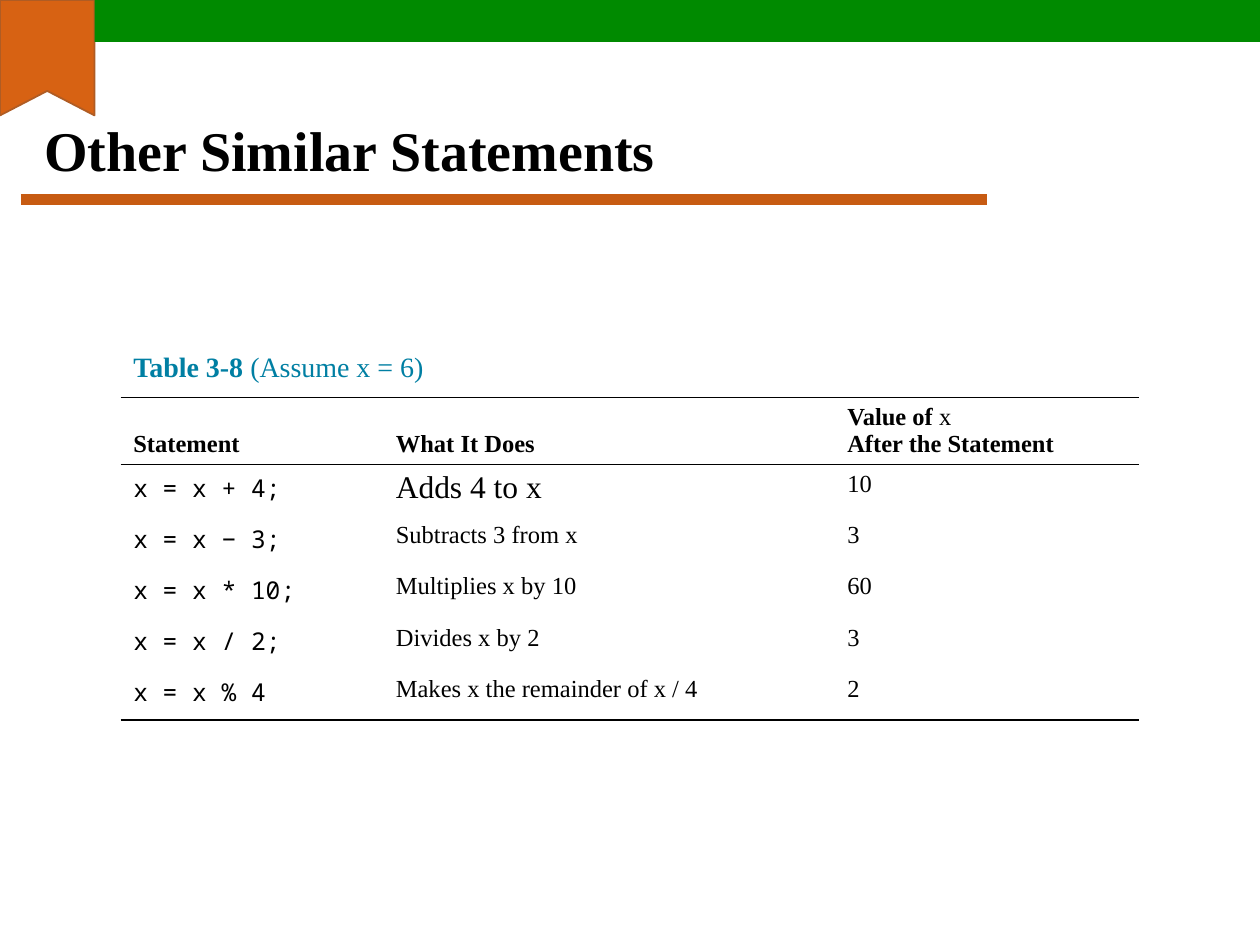
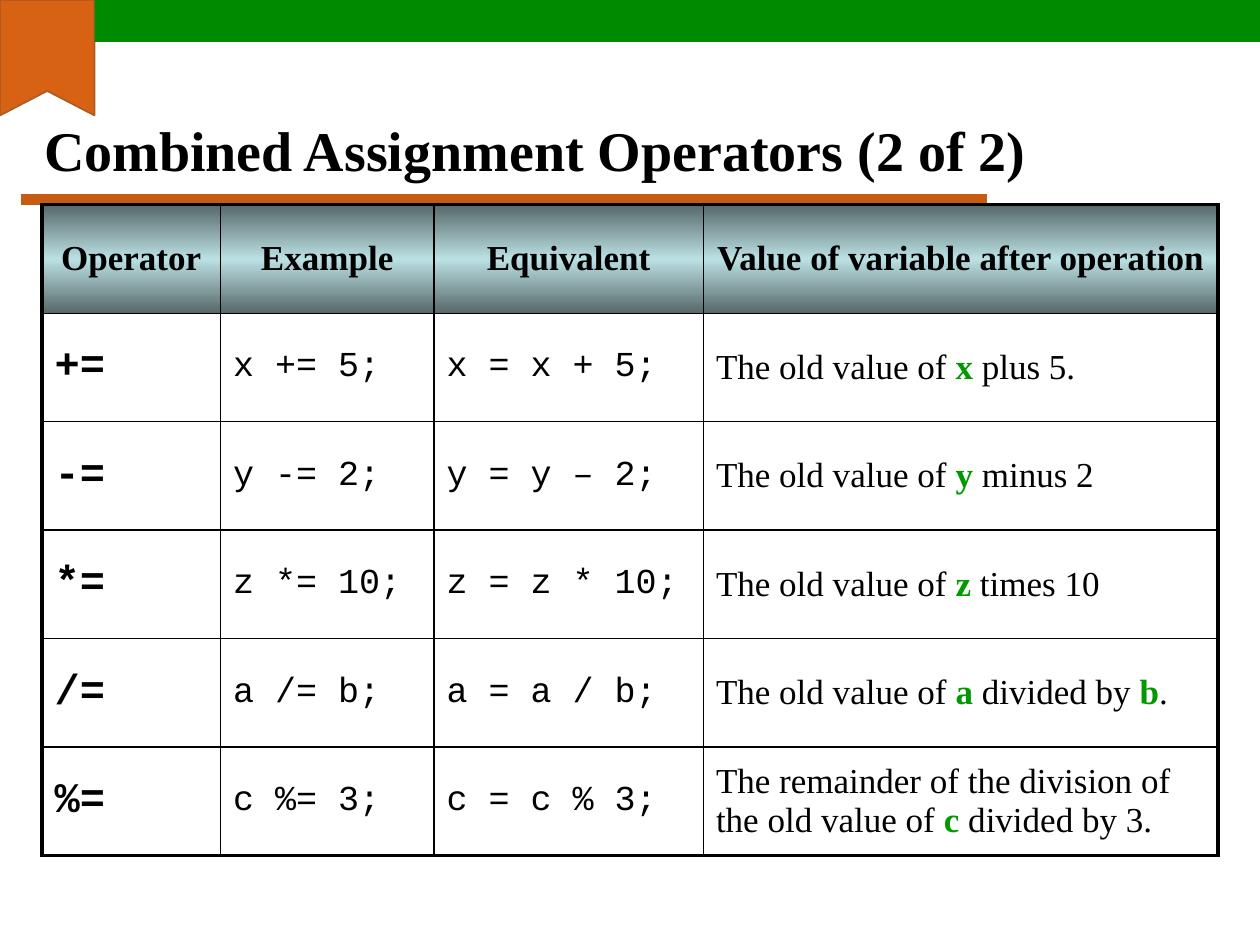
from copy import deepcopy

from pptx import Presentation
from pptx.dml.color import RGBColor
from pptx.enum.shapes import MSO_CONNECTOR, MSO_SHAPE
from pptx.enum.text import MSO_ANCHOR, MSO_AUTO_SIZE, PP_ALIGN
from pptx.oxml.ns import qn
from pptx.util import Pt
from lxml.etree import SubElement, Element

COLORS = {
    "text": "000000",
    "band": "008A00",
    "ribbon": "D76213",
    "ribbon_edge": "AF5C24",
    "rule": "C75B12",
    "caption": "007FA3",
    "variable": "009900",
    "header_dark": "576869",
    "header_light": "BBE0E3",
}
SERIF = "Times New Roman"
COURIER = "Courier New"
MONO = "Noto Sans Mono"
WIDTH, HEIGHT = 720, 540
RIBBON_WIDTH, RIBBON_HEIGHT, RIBBON_NOTCH = 54, 66, 52
BAND_HEIGHT = 24
TITLE_BOX = (18, 42, 648, 86)
RULE_START, RULE_END, RULE_Y = 12, 564, 114


def color(name):
    return RGBColor.from_string(COLORS[name])


def set_font(font, name, size, bold, color_name):
    font.name = name
    font.size = Pt(size)
    font.bold = bold
    font.color.rgb = color(color_name)


def add_band(slide):
    band = slide.shapes.add_shape(
        MSO_SHAPE.RECTANGLE, Pt(RIBBON_WIDTH), 0,
        Pt(WIDTH - RIBBON_WIDTH), Pt(BAND_HEIGHT))
    band.shadow.inherit = False
    band.fill.solid()
    band.fill.fore_color.rgb = color("band")
    band.line.fill.background()


def add_ribbon(slide):
    builder = slide.shapes.build_freeform(0, 0, scale=Pt(1))
    builder.add_line_segments([
        (RIBBON_WIDTH, 0), (RIBBON_WIDTH, RIBBON_HEIGHT),
        (RIBBON_WIDTH / 2, RIBBON_NOTCH), (0, RIBBON_HEIGHT)], close=True)
    ribbon = builder.convert_to_shape()
    ribbon.shadow.inherit = False
    ribbon.fill.solid()
    ribbon.fill.fore_color.rgb = color("ribbon")
    ribbon.line.color.rgb = color("ribbon_edge")
    ribbon.line.width = Pt(1)


def add_title_rule(slide):
    rule = slide.shapes.add_connector(
        MSO_CONNECTOR.STRAIGHT, Pt(RULE_START), Pt(RULE_Y), Pt(RULE_END), Pt(RULE_Y))
    rule.line.color.rgb = color("rule")
    rule.line.width = Pt(6)
    SubElement(rule._element.spPr, qn("a:effectLst"))


def place_title(slide, text):
    title = slide.shapes.title
    title.left, title.top, title.width, title.height = map(Pt, TITLE_BOX)
    frame = title.text_frame
    frame.text = text
    frame.auto_size = MSO_AUTO_SIZE.NONE
    frame.vertical_anchor = MSO_ANCHOR.MIDDLE
    paragraph = frame.paragraphs[0]
    paragraph.alignment = PP_ALIGN.LEFT
    set_font(paragraph.font, SERIF, 32, True, "text")


def add_slide(presentation, title):
    slide = presentation.slides.add_slide(presentation.slide_layouts[5])
    add_title_rule(slide)
    add_ribbon(slide)
    add_band(slide)
    place_title(slide, title)
    return slide


def add_plain_table(slide, left, top, columns, rows):
    table = slide.shapes.add_table(
        len(rows), len(columns), Pt(left), Pt(top), Pt(sum(columns)), Pt(sum(rows))).table
    table.first_row = False
    table.horz_banding = False
    for column, width in zip(table.columns, columns):
        column.width = Pt(width)
    for row, height in zip(table.rows, rows):
        row.height = Pt(height)
    for cell in table.iter_cells():
        cell.fill.background()
    return table


def set_borders(cell, left=0, right=0, top=0, bottom=0):
    properties = cell._tc.get_or_add_tcPr()
    sides = (("L", left), ("R", right), ("T", top), ("B", bottom))
    for index, (side, width) in enumerate(sides):
        line = Element(qn(f"a:ln{side}"), w=str(Pt(width)))
        if width:
            fill = SubElement(line, qn("a:solidFill"))
            SubElement(fill, qn("a:srgbClr"), val=COLORS["text"])
        else:
            SubElement(line, qn("a:noFill"))
        properties.insert(index, line)


def write_cell(cell, text, font=SERIF, size=14, bold=False, color_name="text",
               accent=None, anchor=MSO_ANCHOR.TOP, alignment=PP_ALIGN.LEFT):
    """Text between bars has the opposite weight and the accent colour."""
    cell.vertical_anchor = anchor
    frame = cell.text_frame
    for number, line in enumerate(text.split("\n")):
        paragraph = frame.add_paragraph() if number else frame.paragraphs[0]
        paragraph.alignment = alignment
        set_font(paragraph.font, font, size, bold, color_name)
        for index, part in enumerate(line.split("|")):
            if not part:
                continue
            run = paragraph.add_run()
            run.text = part
            if index % 2:
                run.font.bold = not bold
                if accent:
                    run.font.color.rgb = color(accent)


def fill_header(cell):
    fill = cell.fill
    fill.gradient()
    fill.gradient_angle = 270
    stop_list = cell._tc.tcPr.find(".//" + qn("a:gsLst"))
    stop_list.insert(1, deepcopy(stop_list[0]))
    names = ("header_dark", "header_light", "header_dark")
    for stop, position, name in zip(fill.gradient_stops, (0, 0.5, 1), names):
        stop.position = position
        stop.color.rgb = color(name)


def add_statement_table(slide, left, top):
    headers = ("Statement", "What It Does", "Value of |x|\nAfter the Statement")
    statements = (
        ("x = x + 4;", "Adds 4 to x", "10"),
        ("x = x − 3;", "Subtracts 3 from x", "3"),
        ("x = x * 10;", "Multiplies x by 10", "60"),
        ("x = x / 2;", "Divides x by 2", "3"),
        ("x = x % 4", "Makes x the remainder of x / 4", "2"),
    )
    last = len(statements) + 1
    table = add_plain_table(slide, left, top, (150, 258, 174), [29.25] * (last + 1))
    table.cell(0, 0).merge(table.cell(0, 2))
    write_cell(table.cell(0, 0), "Table 3-8 |(Assume x = 6)|", size=16, bold=True,
               color_name="caption")
    for column, header in enumerate(headers):
        write_cell(table.cell(1, column), header, bold=True, anchor=MSO_ANCHOR.BOTTOM)
    for row, (statement, effect, value) in enumerate(statements, 2):
        write_cell(table.cell(row, 0), statement, MONO)
        write_cell(table.cell(row, 1), effect, size=18 if row == 2 else 14)
        write_cell(table.cell(row, 2), value)
    for row in range(last + 1):
        for column in range(3):
            set_borders(table.cell(row, column), top=int(row in (1, 2)),
                        bottom=int(row in (0, 1, last)))


def add_operator_table(slide, left, top):
    headers = ("Operator", "Example", "Equivalent", "Value of variable after operation")
    operators = (
        ("+=", "x += 5;", "x = x + 5;", "The old value of |x| plus 5."),
        ("-=", "y -= 2;", "y = y – 2;", "The old value of |y| minus 2"),
        ("*=", "z *= 10;", "z = z * 10;", "The old value of |z| times 10"),
        ("/=", "a /= b;", "a = a / b;", "The old value of |a| divided by |b|."),
        ("%=", "c %= 3;", "c = c % 3;",
         "The remainder of the division of the old value of |c| divided by 3."),
    )
    last_row, last_column = len(operators), len(headers) - 1
    table = add_plain_table(slide, left, top, (102, 122, 154, 294), [62] * (last_row + 1))
    middle = MSO_ANCHOR.MIDDLE
    for column, header in enumerate(headers):
        cell = table.cell(0, column)
        fill_header(cell)
        write_cell(cell, header, size=20, bold=True, anchor=middle,
                   alignment=PP_ALIGN.CENTER)
    for row, (operator, example, equivalent, value) in enumerate(operators, 1):
        write_cell(table.cell(row, 0), operator, COURIER, 24, True, anchor=middle)
        write_cell(table.cell(row, 1), example, COURIER, 20, anchor=middle)
        write_cell(table.cell(row, 2), equivalent, COURIER, 20, anchor=middle)
        write_cell(table.cell(row, 3), value, size=20, accent="variable", anchor=middle)
    outer, inner = 2.25, 1
    for row in range(last_row + 1):
        for column in range(last_column + 1):
            set_borders(table.cell(row, column),
                        left=inner if column else outer,
                        right=outer if column == last_column else inner,
                        top=inner if row else outer,
                        bottom=outer if row == last_row else inner)


presentation = Presentation()
presentation.slide_width, presentation.slide_height = Pt(WIDTH), Pt(HEIGHT)
add_statement_table(add_slide(presentation, "Other Similar Statements"), 69, 198)
add_operator_table(
    add_slide(presentation, "Combined Assignment Operators (2 of 2)"), 24, 117)
presentation.save("out.pptx")
